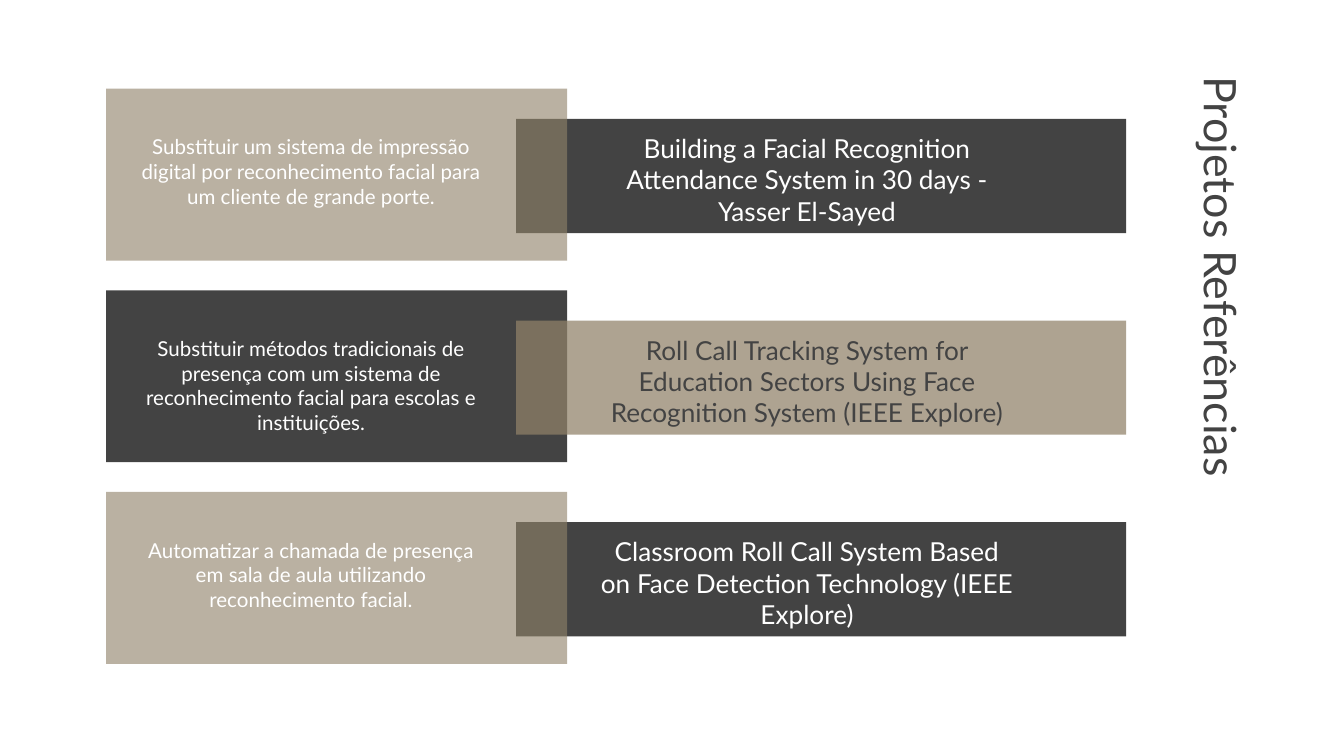
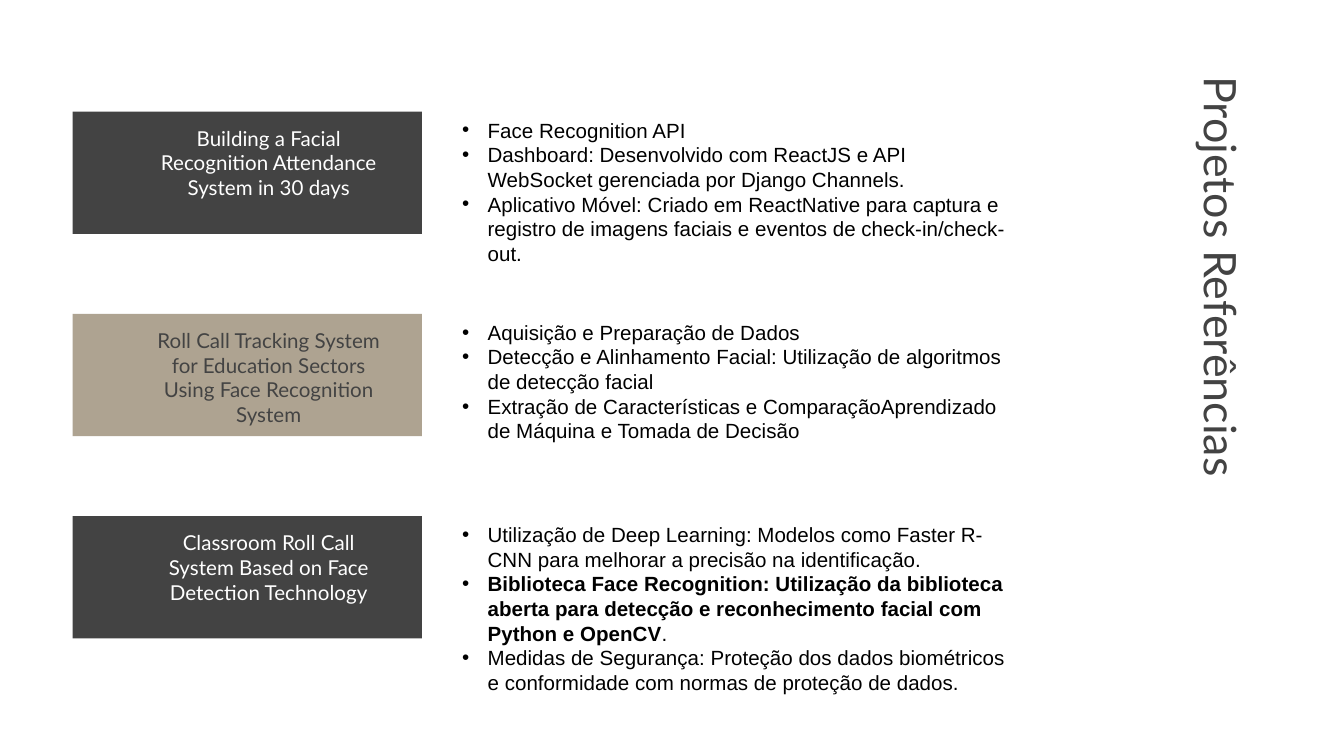
from collections import namedtuple

from lxml import etree
from pptx import Presentation
from pptx import util as u
from pptx.dml.color import RGBColor
from pptx.enum import shapes, text
from pptx.oxml import ns

DARK = RGBColor(0x43, 0x43, 0x43)
SAND = RGBColor(0x90, 0x82, 0x69)
WHITE = RGBColor(0xFF, 0xFF, 0xFF)
BLACK = RGBColor(0, 0, 0)

COLUMNS, ROWS = 100, 56.25
CELL = u.Inches(0.1)
ROW_PITCH = 15.05
TITLE = "Projetos Referências"
LABEL = {"name": "Lato", "size": u.Pt(11), "color": WHITE}
HEADING = {**LABEL, "size": u.Pt(14)}
TITLE_FORMAT = {"name": "Lato", "size": u.Pt(24), "color": DARK}
BODY = {"name": "Arial", "size": u.Pt(11), "color": BLACK}
BULLET_INDENT = u.Inches(0.19)

Box = namedtuple("Box", "left top width height")

GOALS = [
    ("Substituir um sistema de impressão digital por reconhecimento facial "
     "para um cliente de grande porte.",
     "Building a Facial Recognition Attendance System in 30 days - Yasser El-Sayed"),
    ("Substituir métodos tradicionais de presença com um sistema de "
     "reconhecimento facial para escolas e instituições.",
     "Roll Call Tracking System for Education Sectors Using Face Recognition "
     "System (IEEE Explore)"),
    ("Automatizar a chamada de presença em sala de aula utilizando "
     "reconhecimento facial.",
     "Classroom Roll Call System Based on Face Detection Technology (IEEE Explore)"),
]

METHODS = [
    ("Building a Facial Recognition Attendance System in 30 days", 12.1, [
        [("Face Recognition API", False)],
        [("Dashboard: Desenvolvido com ReactJS e API WebSocket gerenciada por "
          "Django Channels.", False)],
        [("Aplicativo Móvel: Criado em ReactNative para captura e registro de "
          "imagens faciais e eventos de check-in/check-out.", False)],
    ]),
    ("Roll Call Tracking System for Education Sectors Using Face Recognition System",
     10.3, [
        [("Aquisição e Preparação de Dados", False)],
        [("Detecção e Alinhamento Facial: Utilização de algoritmos de detecção "
          "facial", False)],
        [("Extração de Características e ComparaçãoAprendizado de Máquina e "
          "Tomada de Decisão", False)],
     ]),
    ("Classroom Roll Call System Based on Face Detection Technology", 15.8, [
        [("Utilização de Deep Learning: Modelos como Faster R-CNN para melhorar "
          "a precisão na identificação.", False)],
        [("Biblioteca Face Recognition: Utilização da biblioteca aberta para "
          "detecção e reconhecimento facial com Python e OpenCV", True),
         (".", False)],
        [("Medidas de Segurança: Proteção dos dados biométricos e conformidade "
          "com normas de proteção de dados.", False)],
    ]),
]


def place(parent, left, top, width, height):
    """Return a box offset from the corner of its parent, in grid cells."""
    return Box(parent.left + left, parent.top + top, width, height)


def emu(box):
    """Convert a box from grid cells to slide lengths."""
    return [round(value * CELL) for value in box]


def apply_format(span, style):
    """Set the font of a run from a dict of format values."""
    for key, value in style.items():
        if key == "color":
            span.font.color.rgb = value
        else:
            setattr(span.font, key, value)


def add_card(page, box, color, opacity=100):
    """Draw a borderless rectangle, translucent below full opacity."""
    card = page.shapes.add_shape(shapes.MSO_SHAPE.RECTANGLE, *emu(box))
    card.shadow.inherit = False
    card.line.fill.background()
    card.fill.solid()
    card.fill.fore_color.rgb = color
    if opacity < 100:
        tint = card.fill._xPr.find(".//" + ns.qn("a:srgbClr"))
        etree.SubElement(tint, ns.qn("a:alpha"), val=str(opacity * 1000))


def add_label(page, box, words, style, align=text.PP_ALIGN.CENTER):
    """Write one top-anchored paragraph with equal margins."""
    label = page.shapes.add_textbox(*emu(box))
    frame = label.text_frame
    frame.word_wrap = True
    frame.vertical_anchor = text.MSO_ANCHOR.TOP
    for side in ("left", "top", "right", "bottom"):
        setattr(frame, f"margin_{side}", CELL)
    para = frame.paragraphs[0]
    para.alignment = align
    span = para.add_run()
    span.text = words
    apply_format(span, style)
    return label


def add_bullets(page, box, items):
    """Write a bulleted list whose items are lists of (words, bold)."""
    frame = page.shapes.add_textbox(*emu(box)).text_frame
    frame.word_wrap = True
    frame.auto_size = text.MSO_AUTO_SIZE.SHAPE_TO_FIT_TEXT
    for index, item in enumerate(items):
        para = frame.add_paragraph() if index else frame.paragraphs[0]
        properties = para._p.get_or_add_pPr()
        properties.set("marL", str(BULLET_INDENT))
        properties.set("indent", str(-BULLET_INDENT))
        bullet_color = etree.SubElement(properties, ns.qn("a:buClr"))
        etree.SubElement(bullet_color, ns.qn("a:srgbClr"), val=str(BLACK))
        etree.SubElement(properties, ns.qn("a:buFont"), typeface="Arial")
        etree.SubElement(properties, ns.qn("a:buChar"), char="•")
        for words, bold in item:
            span = para.add_run()
            span.text = words
            apply_format(span, {**BODY, "bold": bold})


def add_page(deck):
    """Add a blank page with the sideways title."""
    page = deck.slides.add_slide(deck.slide_layouts[6])
    title = add_label(page, Box(72.2, 21.1, 38.1, 5.3), TITLE, TITLE_FORMAT,
                      text.PP_ALIGN.LEFT)
    title.rotation = 90
    return page


def add_goal_row(page, row, goal, project, sand_project):
    """Overlap a goal card and a project band, the sand one in front."""
    goal_card = place(row, 0, 0, 34.3, 12.8)
    project_band = place(row, 30.5, 2.25, 45.4, 8.5)
    if sand_project:
        add_card(page, goal_card, DARK)
        add_card(page, project_band, SAND, 73)
    else:
        add_card(page, project_band, DARK)
        add_card(page, goal_card, SAND, 62)
    heading = {**HEADING, "color": DARK if sand_project else WHITE}
    add_label(page, place(row, 1.4, 2.4, 27.7, 5.3), goal, LABEL)
    add_label(page, place(row, 35.8, 2.25, 32.7, 8.5), project, heading)


def add_method_row(page, row, project, list_height, items, sand_project):
    """Set a project card beside the list of its methods."""
    card = place(row, 0, 0, 26, 9.1)
    add_card(page, card, *((SAND, 73) if sand_project else (DARK,)))
    label = {**LABEL, "color": DARK if sand_project else WHITE}
    add_label(page, place(row, 5.3, 0.05, 18.6, 9.1), project, label)
    add_bullets(page, place(row, 28, -0.05, 42.6, list_height), items)


def build_goals(deck):
    """Build the page of projects and their goals."""
    page = add_page(deck)
    for index, (goal, project) in enumerate(GOALS):
        row = Box(7.9, 6.6 + index * 15, 75.9, 12.8)
        add_goal_row(page, row, goal, project, index % 2 == 1)


def build_methods(deck):
    """Build the page of projects and their methods."""
    page = add_page(deck)
    for index, (project, list_height, items) in enumerate(METHODS):
        row = Box(5.4, 8.3 + index * ROW_PITCH, 70.6, 9.1)
        add_method_row(page, row, project, list_height, items, index % 2 == 1)


def main():
    """Build and save the deck."""
    deck = Presentation()
    deck.slide_width = round(COLUMNS * CELL)
    deck.slide_height = round(ROWS * CELL)
    build_goals(deck)
    build_methods(deck)
    deck.save("out.pptx")


if __name__ == "__main__":
    main()
